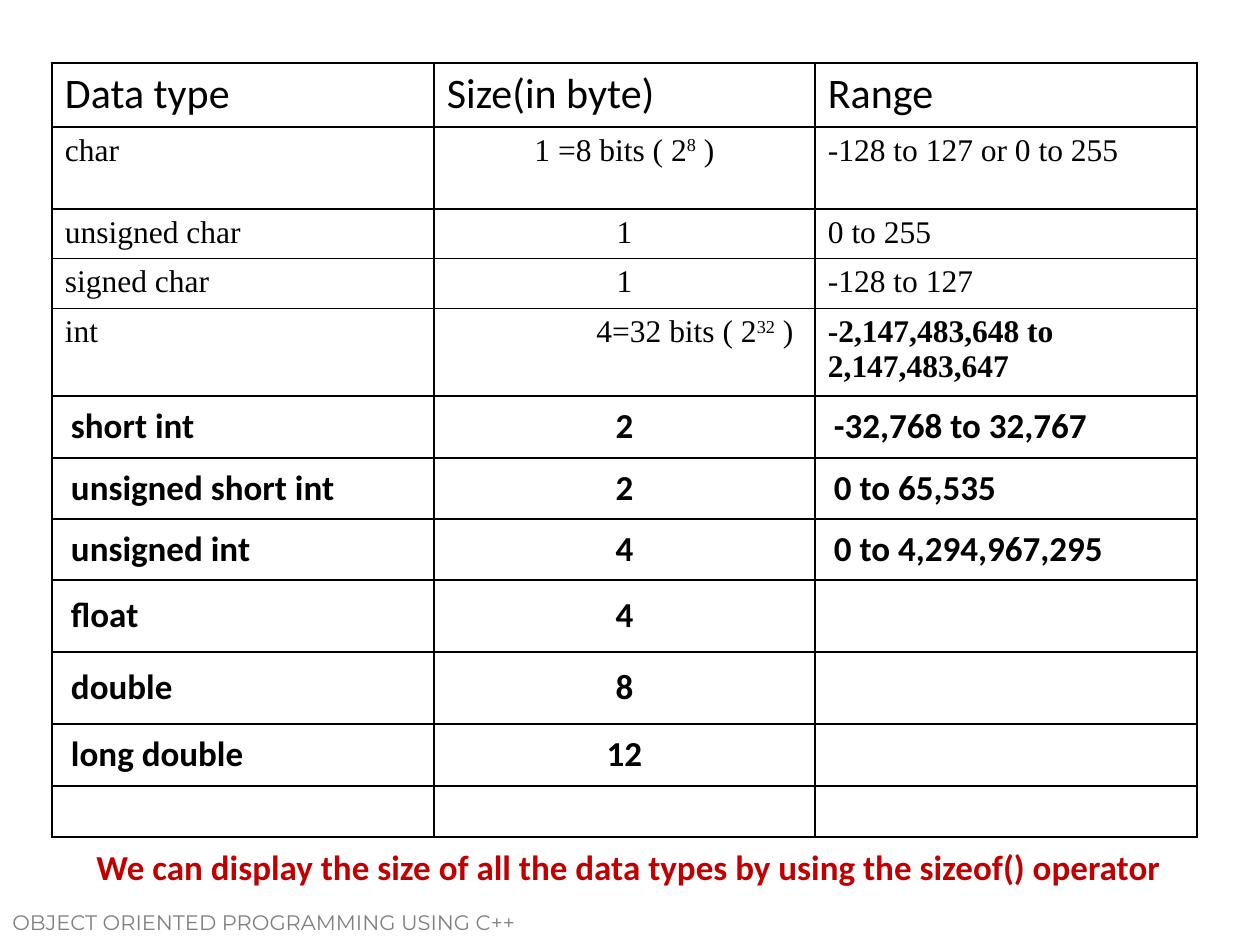
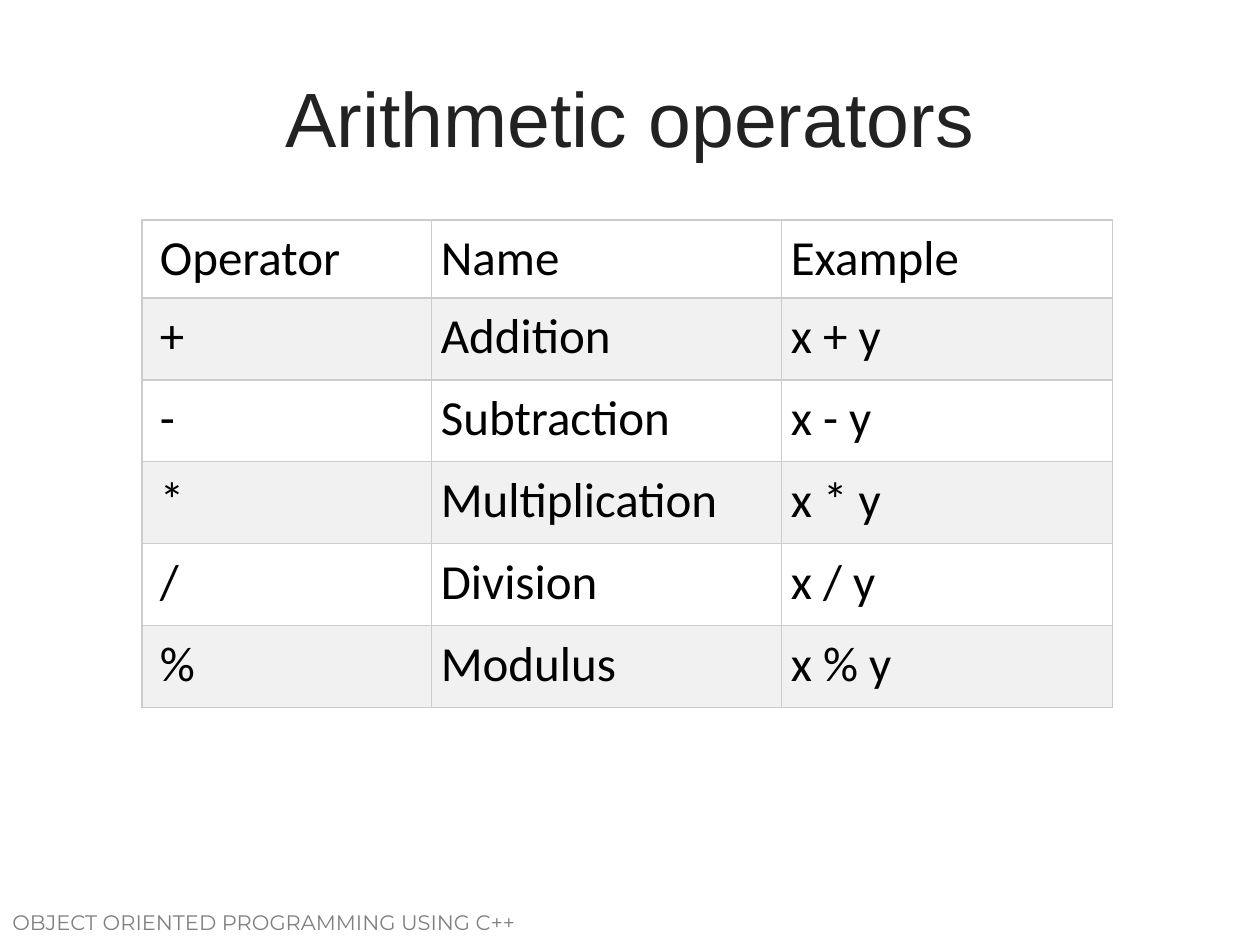
from lxml import etree
from pptx import Presentation
from pptx import util as u
from pptx.dml.color import RGBColor
from pptx.enum import text
from pptx.oxml.ns import qn

PIXEL = 914400 // 126
LEFT, CENTER = text.PP_ALIGN.LEFT, text.PP_ALIGN.CENTER
TOP, MIDDLE = text.MSO_ANCHOR.TOP, text.MSO_ANCHOR.MIDDLE

# Text styles: font name, size in points, bold, colour
FOOTER = ("Montserrat", 12, False, "808080")
TITLE = ("Arial", 44, False, "222222")
CAPTION = ("Calibri", 20, True, "C00000")
HEADING = ("Calibri", 24, False, "000000")
SERIF = ("Times New Roman", 18, False, "000000")
SERIF_BOLD = ("Times New Roman", 18, True, "000000")
STRONG = ("Calibri", 20, True, "000000")
LARGE = ("Calibri", 28, False, "000000")

# Cell margins in pixels: left, top, right, bottom
NORMAL = (13, 6, 13, 6)
ROOMY = (19, 9, 19, 9)

FOOTER_TEXT = "OBJECT ORIENTED PROGRAMMING USING C++"
SIZEOF_NOTE = "We can display the size of all the data types by using the sizeof() operator"

# Row height, style, cells; a tuple alternates normal and superscript text
DATA_TYPES = [
    (64, HEADING, ["Data type", "Size(in byte)", "Range"]),
    (82, SERIF, ["char", ("1 =8 bits ( 2", "8", " )"), "-128 to 127 or 0 to 255"]),
    (48, SERIF, ["unsigned char", "1", "0 to 255"]),
    (47, SERIF, ["signed char", "1", "-128 to 127"]),
    (82, SERIF, ["int", ("4=32 bits ( 2", "32", " )"), "-2,147,483,648 to 2,147,483,647"]),
    (62, STRONG, ["short int", "2", "-32,768 to 32,767"]),
    (61, STRONG, ["unsigned short int", "2", "0 to 65,535"]),
    (61, STRONG, ["unsigned int", "4", "0 to 4,294,967,295"]),
    (72, STRONG, ["float", "4", ""]),
    (72, STRONG, ["double", "8", ""]),
    (62, STRONG, ["long double", "12", ""]),
    (51, SERIF, ["", "", ""]),
]
INT_ROW = 4
INT_SIZE_INDENT = 154

OPERATORS = [
    ("Operator", "Name", "Example"),
    ("+", "Addition", "x + y"),
    ("-", "Subtraction", "x - y"),
    ("*", "Multiplication", "x * y"),
    ("/", "Division", "x / y"),
    ("%", "Modulus", "x % y"),
]


def px(*lengths):
    """Turn pixel lengths into EMU."""
    return [u.Emu(int(length * PIXEL)) for length in lengths]


def color(value):
    """Turn a hex string into a colour."""
    return RGBColor.from_string(value)


def set_all(target, values):
    """Set attributes of an object from a dict."""
    for name, value in values.items():
        setattr(target, name, value)


def write(frame, content, style, align=LEFT):
    """Write one paragraph; the odd parts of a tuple are superscript."""
    name, size, bold, hex_color = style
    paragraph = frame.paragraphs[0]
    paragraph.alignment = align
    parts = content if isinstance(content, tuple) else (content,)
    for index, part in enumerate(parts):
        if not part:
            continue
        run = paragraph.add_run()
        run.text = part
        set_all(run.font, {"name": name, "size": u.Pt(size), "bold": bold})
        run.font.color.rgb = color(hex_color)
        if index % 2:
            run.font._element.set("baseline", "30000")


def add_text(slide, box, content, style, align=LEFT, anchor=TOP, wrap=True):
    """Add a text box at a pixel box."""
    frame = slide.shapes.add_textbox(*px(*box)).text_frame
    set_all(frame, {"word_wrap": wrap, "vertical_anchor": anchor})
    write(frame, content, style, align)


def add_slide(presentation):
    """Add a blank slide with the shared footer."""
    slide = presentation.slides.add_slide(presentation.slide_layouts[6])
    add_text(slide, (0, 903, 630, 53), FOOTER_TEXT, FOOTER)
    return slide


def add_grid(slide, left, top, widths, heights):
    """Add a plain table with the given column widths and row heights."""
    table = slide.shapes.add_table(
        len(heights), len(widths), *px(left, top, sum(widths), sum(heights))).table
    set_all(table, {"first_row": False, "horz_banding": False})
    for column, width in zip(table.columns, px(*widths)):
        column.width = width
    for row, height in zip(table.rows, px(*heights)):
        row.height = height
    return table


def format_cell(cell, margins, border, points, fill=None, anchor=TOP):
    """Set margins, anchor, the four borders and the fill of a cell."""
    sides = ("margin_left", "margin_top", "margin_right", "margin_bottom")
    set_all(cell, dict(zip(sides, px(*margins)), vertical_anchor=anchor))
    properties = cell._tc.get_or_add_tcPr()
    for tag in ("a:lnL", "a:lnR", "a:lnT", "a:lnB"):
        line = etree.SubElement(properties, qn(tag), w=str(u.Pt(points)))
        solid = etree.SubElement(line, qn("a:solidFill"))
        etree.SubElement(solid, qn("a:srgbClr"), val=border)
    if fill:
        cell.fill.solid()
        cell.fill.fore_color.rgb = color(fill)
    else:
        cell.fill.background()


def build_data_types(presentation):
    """Build the slide of data types, sizes and ranges."""
    slide = add_slide(presentation)
    table = add_grid(slide, 52, 63, (382, 381, 382), [row[0] for row in DATA_TYPES])
    for r, (_, style, contents) in enumerate(DATA_TYPES):
        for c, content in enumerate(contents):
            cell = table.cell(r, c)
            strong = style is STRONG and content
            margins = ROOMY if strong else NORMAL
            if (r, c) == (INT_ROW, 1):
                margins = (INT_SIZE_INDENT,) + NORMAL[1:]
            format_cell(cell, margins, "000000", 1, anchor=MIDDLE if strong else TOP)
            cell_style = SERIF_BOLD if (r, c) == (INT_ROW, 2) else style
            write(cell.text_frame, content, cell_style, CENTER if r and c == 1 else LEFT)
    add_text(slide, (84, 839, 1099, 55), SIZEOF_NOTE, CAPTION, wrap=False)


def build_operators(presentation):
    """Build the slide of arithmetic operators."""
    slide = add_slide(presentation)
    add_text(slide, (63, 38, 1134, 158), "Arithmetic operators", TITLE, CENTER, MIDDLE)
    heights = [78] + [82] * (len(OPERATORS) - 1)
    table = add_grid(slide, 142, 220, (290, 350, 331), heights)
    for r, contents in enumerate(OPERATORS):
        for c, content in enumerate(contents):
            cell = table.cell(r, c)
            margins = (9 if c else 18, 9, 9, 9)
            format_cell(cell, margins, "CCCCCC", 0.75, "F1F1F1" if r % 2 else "FFFFFF")
            write(cell.text_frame, content, LARGE)


presentation = Presentation()
set_all(presentation, {"slide_width": u.Inches(10), "slide_height": u.Inches(7.5)})
build_data_types(presentation)
build_operators(presentation)
presentation.save("out.pptx")
